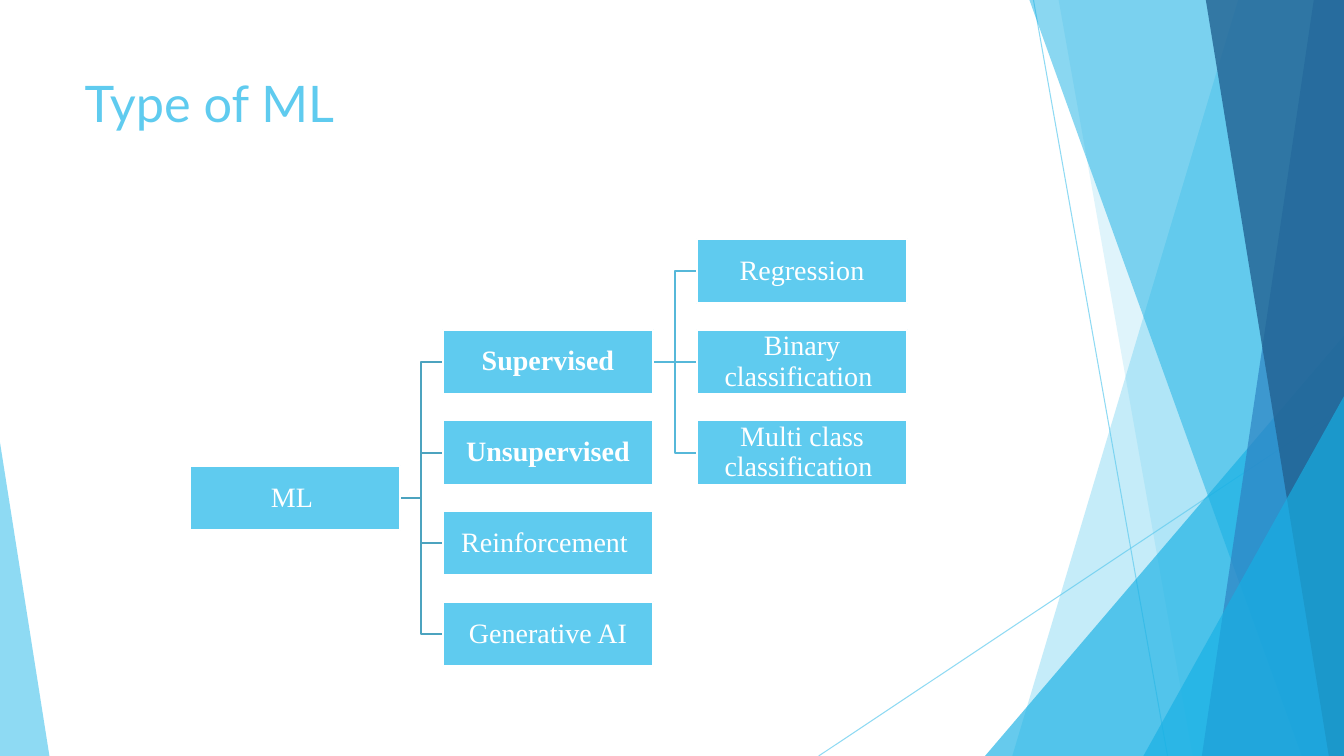
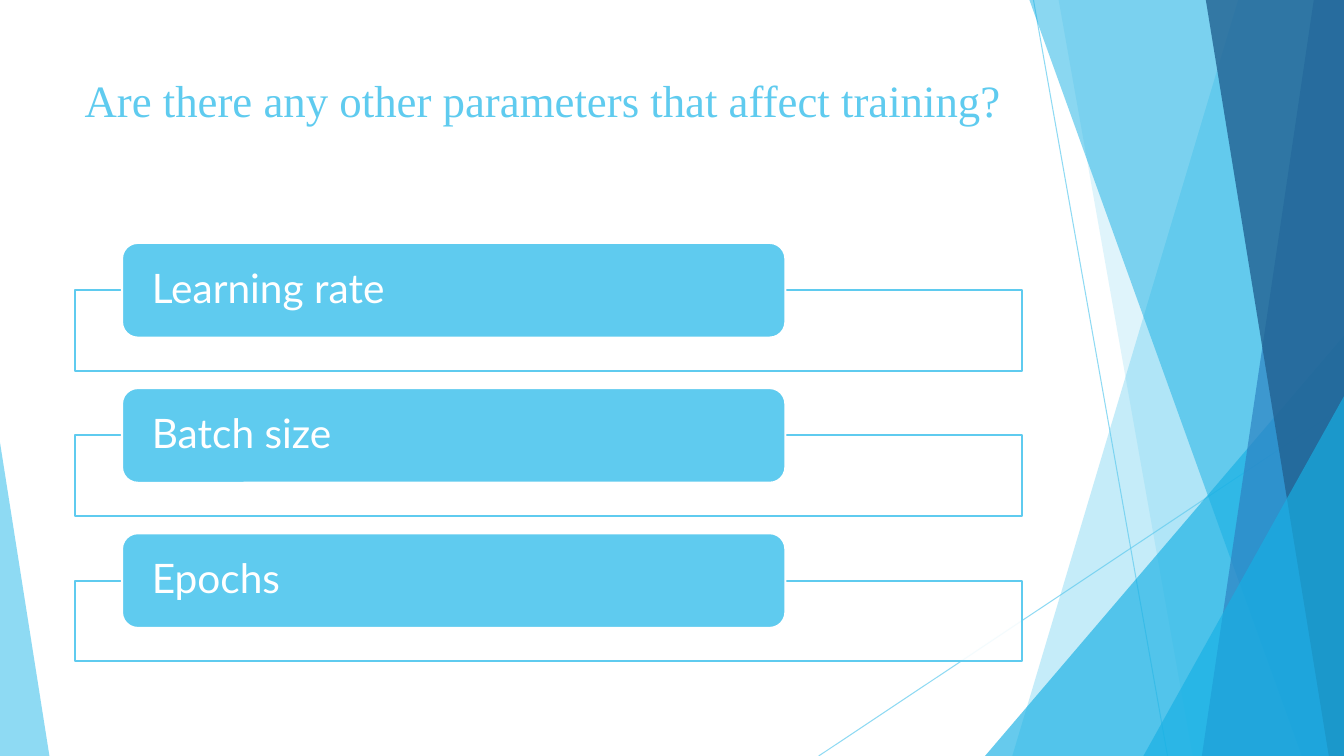
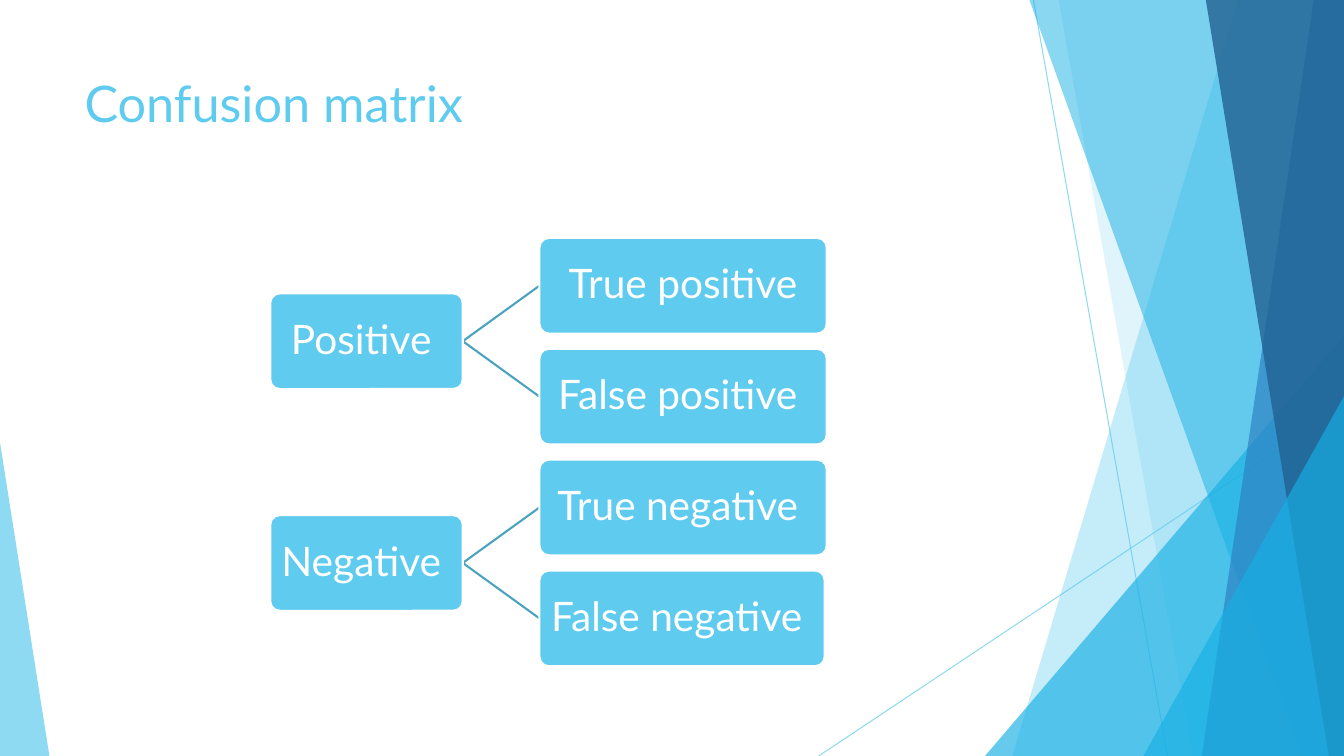
from dataclasses import dataclass

from lxml import etree
from pptx import Presentation
from pptx.dml.color import RGBColor
from pptx.enum.shapes import MSO_CONNECTOR, MSO_SHAPE
from pptx.enum.text import MSO_ANCHOR, PP_ALIGN
from pptx.oxml.ns import qn
from pptx.util import Inches, Pt

RECTANGLE = MSO_SHAPE.RECTANGLE
ROUNDED = MSO_SHAPE.ROUNDED_RECTANGLE
TRIANGLE = MSO_SHAPE.ISOSCELES_TRIANGLE
STRAIGHT = MSO_CONNECTOR.STRAIGHT
ELBOW = MSO_CONNECTOR.ELBOW
TOP, MIDDLE = MSO_ANCHOR.TOP, MSO_ANCHOR.MIDDLE
LEFT, CENTER = PP_ALIGN.LEFT, PP_ALIGN.CENTER
LEFT_SIDE, RIGHT_SIDE = 1, 3

WIDTH, HEIGHT = 13.33, 7.5
SKY, CYAN, BLUE, NAVY, WHITE = "5FCBEF", "17B0E4", "2E83C3", "226292", "FFFFFF"
DARK_LINK, LIGHT_LINK = "4CA3BF", "56B8D9"
SANS, SERIF = "Lato", "Times New Roman"


@dataclass(frozen=True)
class Ray:
    start: tuple[float, float]
    end: tuple[float, float]


@dataclass(frozen=True)
class Band:
    """A full-height area from a slanted left edge to the right edge of the page."""
    top_left: float
    bottom_left: float
    colour: str
    opacity: int


@dataclass(frozen=True)
class Wedge:
    """A right triangle standing on the bottom edge of the page."""
    left: float
    top: float
    width: float
    apex: float
    colour: str
    opacity: int


@dataclass(frozen=True)
class Node:
    text: str
    column: int
    row: float
    width: float
    bold: bool = False
    link: str = DARK_LINK
    children: tuple["Node", ...] = ()


@dataclass(frozen=True)
class TreeStyle:
    columns: tuple[float, ...]
    top: float
    pitch: float
    height: float
    kind: int
    connector: int
    font: str
    size: int
    inset: float


RAYS = (Ray((10.25, 0), (11.58, HEIGHT)), Ray((WIDTH, 4.03), (8.12, HEIGHT)))
BACKDROP = (
    Band(12.28, 10.04, SKY, 36),
    Band(10.5, 11.83, SKY, 20),
    Wedge(9.77, 3.33, 3.56, 1, CYAN, 66),
    Band(10.21, 12.91, CYAN, 50),
    Band(13.03, 11.92, BLUE, 70),
    Band(11.96, 13.18, NAVY, 80),
    Wedge(11.34, 3.93, 1.99, 1, CYAN, 66),
    Wedge(0, 4.39, 0.49, 0, SKY, 70),
)

TYPE_STYLE = TreeStyle((1.88, 4.39, 6.91), 2.37, 0.9, 0.64, RECTANGLE, ELBOW, SERIF, 20, 0.01)
TYPE_WIDTH = 2.09
TYPE_TREE = Node("ML ", 0, 2.5, TYPE_WIDTH, children=(
    Node("Supervised", 1, 1, TYPE_WIDTH, bold=True, link=LIGHT_LINK, children=(
        Node("Regression", 2, 0, TYPE_WIDTH),
        Node("Binary classification ", 2, 1, TYPE_WIDTH),
        Node("Multi class classification ", 2, 2, TYPE_WIDTH),
    )),
    Node("Unsupervised", 1, 2, TYPE_WIDTH, bold=True),
    Node("Reinforcement ", 1, 3, TYPE_WIDTH),
    Node("Generative AI", 1, 4, TYPE_WIDTH),
))

MATRIX_STYLE = TreeStyle((2.68, 5.35), 2.36, 1.1, 0.95, ROUNDED, STRAIGHT, SANS, 29, 0.02)
MATRIX_TREES = (
    Node("Positive ", 0, 0.5, 1.91, children=(
        Node("True positive", 1, 0, 2.85),
        Node("False positive ", 1, 1, 2.85),
    )),
    Node("Negative ", 0, 2.5, 1.91, children=(
        Node("True negative ", 1, 2, 2.85),
        Node("False negative ", 1, 3, 2.83),
    )),
)

PARAMETERS = ("Learning rate", "Batch size", "Epochs")


def rgb(colour: str) -> RGBColor:
    return RGBColor.from_string(colour)


def set_opacity(shape, place: str, percent: int) -> None:
    """Make the solid fill found at place within the shape see-through."""
    colour = shape.element.xpath(f"./p:spPr/{place}a:solidFill/a:srgbClr")[0]
    etree.SubElement(colour, qn("a:alpha")).set("val", str(percent * 1000))


def paint(shape, fill: str, opacity: int = 100, line: str | None = None) -> None:
    shape.shadow.inherit = False
    shape.fill.solid()
    shape.fill.fore_color.rgb = rgb(fill)
    if opacity < 100:
        set_opacity(shape, "", opacity)
    if line:
        shape.line.color.rgb = rgb(line)
        shape.line.width = Pt(1.5)
    else:
        shape.line.fill.background()


def add_box(page, kind: int, left: float, top: float, width: float, height: float):
    return page.shapes.add_shape(kind, Inches(left), Inches(top), Inches(width), Inches(height))


def write(box, text: str, *, font: str, size: int, colour: str = WHITE, bold: bool = False,
          align=LEFT, anchor=MIDDLE, spacing: float = 0.9,
          insets: tuple[float, float] = (0, 0)) -> None:
    """Put one formatted paragraph in a box; insets are horizontal, then vertical."""
    frame = box.text_frame
    frame.word_wrap = True
    frame.vertical_anchor = anchor
    frame.margin_left = frame.margin_right = Inches(insets[0])
    frame.margin_top = frame.margin_bottom = Inches(insets[1])
    para = frame.paragraphs[0]
    para.alignment = align
    para.line_spacing = spacing
    span = para.add_run()
    span.text = text
    span.font.name = font
    span.font.size = Pt(size)
    span.font.bold = bold
    span.font.color.rgb = rgb(colour)


def add_line(page, kind: int, start: tuple[float, float], end: tuple[float, float],
             colour: str, weight: float):
    line = page.shapes.add_connector(kind, *map(Inches, start + end))
    line.line.color.rgb = rgb(colour)
    line.line.width = Pt(weight)
    etree.SubElement(line.element.spPr, qn("a:effectLst"))
    return line


def draw_backdrop(page) -> None:
    for ray in RAYS:
        line = add_line(page, STRAIGHT, ray.start, ray.end, SKY, 0.75)
        set_opacity(line, "a:ln/", 70)
    for part in BACKDROP:
        if isinstance(part, Band):
            outline = page.shapes.build_freeform(Inches(part.top_left), 0)
            corners = ((WIDTH, 0), (WIDTH, HEIGHT), (part.bottom_left, HEIGHT))
            outline.add_line_segments([(Inches(x), Inches(y)) for x, y in corners])
            shape = outline.convert_to_shape()
        else:
            shape = add_box(page, TRIANGLE, part.left, part.top, part.width, HEIGHT - part.top)
            shape.adjustments[0] = part.apex
        paint(shape, part.colour, part.opacity)


def add_page(deck, title: str, font: str = SANS, size: int = 36):
    page = deck.slides.add_slide(deck.slide_layouts[6])
    draw_backdrop(page)
    box = page.shapes.add_textbox(Inches(0.74), Inches(0.67), Inches(9.4), Inches(1.13))
    write(box, title, font=font, size=size, colour=SKY, anchor=TOP, spacing=1.0,
          insets=(0.1, 0.05))
    return page


def draw_tree(page, node: Node, style: TreeStyle):
    """Draw a node and its descendants, with the links behind the boxes."""
    box = add_box(page, style.kind, style.columns[node.column],
                  style.top + node.row * style.pitch, node.width, style.height)
    if style.kind == ROUNDED:
        box.adjustments[0] = 0.1
    paint(box, SKY, line=WHITE)
    write(box, node.text, font=style.font, size=style.size, bold=node.bold, align=CENTER,
          insets=(style.inset, style.inset))
    for child in node.children:
        child_box = draw_tree(page, child, style)
        kind = STRAIGHT if child.row == node.row else style.connector
        link = add_line(page, kind, (0, 0), (0, 0), node.link, 1.5)
        link.begin_connect(box, RIGHT_SIDE)
        link.end_connect(child_box, LEFT_SIDE)
        box.element.addprevious(link.element)
    return box


def draw_parameters(page) -> None:
    for index, parameter in enumerate(PARAMETERS):
        top = 2.41 + index * 1.44
        frame = add_box(page, RECTANGLE, 0.74, top + 0.47, 9.4, 0.8)
        paint(frame, WHITE, 90, SKY)
        label = add_box(page, ROUNDED, 1.21, top, 6.58, 0.94)
        paint(label, SKY, line=WHITE)
        write(label, parameter, font=SANS, size=29, insets=(0.25, 0))


def main() -> None:
    deck = Presentation()
    deck.slide_width, deck.slide_height = Inches(WIDTH), Inches(HEIGHT)
    draw_tree(add_page(deck, "Type of ML"), TYPE_TREE, TYPE_STYLE)
    draw_parameters(add_page(
        deck, "Are there any other parameters that affect training?", SERIF, 32))
    matrix_page = add_page(deck, "Confusion matrix")
    for tree in MATRIX_TREES:
        draw_tree(matrix_page, tree, MATRIX_STYLE)
    deck.save("out.pptx")


if __name__ == "__main__":
    main()
